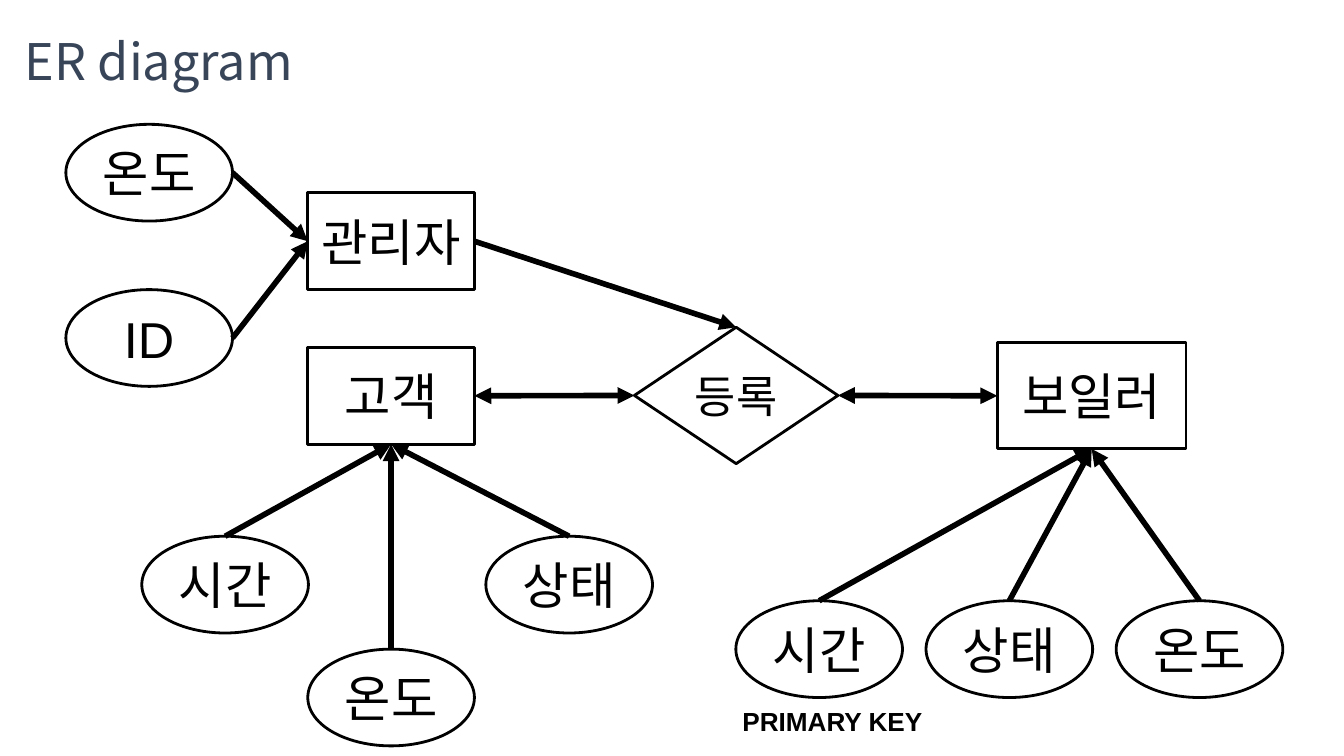
"""Draw the ER diagram of manager, customer and boiler."""
from dataclasses import dataclass

from lxml.etree import SubElement
from pptx import Presentation
from pptx.dml.color import RGBColor
from pptx.enum.shapes import MSO_CONNECTOR, MSO_SHAPE
from pptx.enum.text import MSO_ANCHOR, MSO_AUTO_SIZE, PP_ALIGN
from pptx.oxml.ns import qn
from pptx.slide import Slide
from pptx.text.text import TextFrame
from pptx.util import Inches, Pt


@dataclass(frozen=True)
class Theme:
    """Colours, fonts, type sizes and line widths."""
    ink: RGBColor = RGBColor(0, 0, 0)
    slate: RGBColor = RGBColor(0x38, 0x45, 0x59)
    font: str = "Arial"
    head: str = "Noto Sans CJK KR"
    large: int = 54
    medium: int = 48
    small: int = 28
    edge: int = 3
    link: int = 6


@dataclass(frozen=True)
class Node:
    """A labelled outline of the diagram."""
    text: str
    left: float
    top: float
    kind: MSO_SHAPE = MSO_SHAPE.OVAL
    width: float = 2.48
    height: float = 1.44
    size: int = Theme.large

    def side(self, name: str) -> tuple[float, float]:
        """Return the middle of the named side."""
        x, y = {"top": (0.5, 0), "left": (0, 0.5),
                "bottom": (0.5, 1), "right": (1, 0.5)}[name]
        return self.left + x * self.width, self.top + y * self.height


@dataclass(frozen=True)
class Link:
    """An arrow from a side of one node to a side of another."""
    start: Node
    leave: str
    end: Node
    enter: str
    both: bool = False


THEME = Theme()
BOX = MSO_SHAPE.RECTANGLE

ENROL = Node("등록", 9.44, 4.87, MSO_SHAPE.FLOWCHART_DECISION, 3.03, 2.03, THEME.medium)
CLIENT = Node("고객", 4.58, 5.17, BOX)
BOILER = Node("보일러", 14.84, 5.1, BOX, 2.81, 1.58)
ADMIN = Node("관리자", 4.58, 2.87, BOX)

ADMIN_KEYS = [Node("온도", 0.98, 1.85), Node("ID", 0.98, 4.31)]
CLIENT_KEYS = [Node("시간", 2.11, 7.98), Node("온도", 4.58, 9.66), Node("상태", 7.23, 7.98)]
BOILER_KEYS = [Node(text, 10.95 + 2.83 * i, 8.94)
               for i, text in enumerate(["시간", "상태", "온도"])]

NODES = [ENROL, CLIENT, BOILER, ADMIN, *ADMIN_KEYS, *CLIENT_KEYS, *BOILER_KEYS]
LINKS = [
    Link(CLIENT, "right", ENROL, "left", both=True),
    Link(ENROL, "right", BOILER, "left", both=True),
    Link(ADMIN, "right", ENROL, "top"),
    *(Link(key, "right", ADMIN, "left") for key in ADMIN_KEYS),
    *(Link(key, "top", CLIENT, "bottom") for key in CLIENT_KEYS),
    *(Link(key, "top", BOILER, "bottom") for key in BOILER_KEYS),
]


def write(frame: TextFrame, text: str, *, size: int = THEME.large,
          font: str = THEME.font, color: RGBColor = THEME.ink, bold: bool = False,
          align: PP_ALIGN = PP_ALIGN.LEFT,
          anchor: MSO_ANCHOR = MSO_ANCHOR.MIDDLE) -> None:
    """Put one formatted line of text in a frame."""
    frame.auto_size = MSO_AUTO_SIZE.NONE
    frame.word_wrap = False
    frame.vertical_anchor = anchor
    line = frame.paragraphs[0]
    line.alignment = align
    run = line.add_run()
    run.text = text
    run.font.size = Pt(size)
    run.font.name = font
    run.font.bold = bold
    run.font.color.rgb = color
    SubElement(run.font._element, qn("a:ea"), typeface=font)


def draw_node(slide: Slide, node: Node) -> None:
    """Draw an outlined shape with its label."""
    shape = slide.shapes.add_shape(node.kind, Inches(node.left), Inches(node.top),
                                   Inches(node.width), Inches(node.height))
    shape.shadow.inherit = False
    shape.fill.background()
    shape.line.color.rgb = THEME.ink
    shape.line.width = Pt(THEME.edge)
    write(shape.text_frame, node.text, size=node.size, align=PP_ALIGN.CENTER)


def draw_link(slide: Slide, link: Link) -> None:
    """Draw an arrow between two nodes."""
    ends = link.start.side(link.leave) + link.end.side(link.enter)
    arrow = slide.shapes.add_connector(MSO_CONNECTOR.STRAIGHT, *map(Inches, ends))
    arrow.line.color.rgb = THEME.ink
    arrow.line.width = Pt(THEME.link)
    line = arrow.line._get_or_add_ln()
    for tag in ["a:headEnd", "a:tailEnd"] if link.both else ["a:tailEnd"]:
        SubElement(line, qn(tag), type="triangle")
    SubElement(arrow._element.spPr, qn("a:effectLst"))


def main() -> None:
    """Build and save the slide."""
    deck = Presentation()
    deck.slide_width, deck.slide_height = Inches(20), Inches(11.25)
    slide = deck.slides.add_slide(deck.slide_layouts[5])

    title = slide.shapes.title
    title.left, title.top = Inches(0.27), Inches(0.4)
    title.width, title.height = Inches(5.08), Inches(1.01)
    write(title.text_frame, "ER diagram", font=THEME.head, color=THEME.slate)

    for node in NODES:
        draw_node(slide, node)
    for link in LINKS:
        draw_link(slide, link)

    note = slide.shapes.add_textbox(Inches(10.95), Inches(10.45), Inches(3.03), Inches(0.52))
    write(note.text_frame, "PRIMARY KEY", size=THEME.small, bold=True,
          anchor=MSO_ANCHOR.TOP)
    deck.save("out.pptx")


if __name__ == "__main__":
    main()
